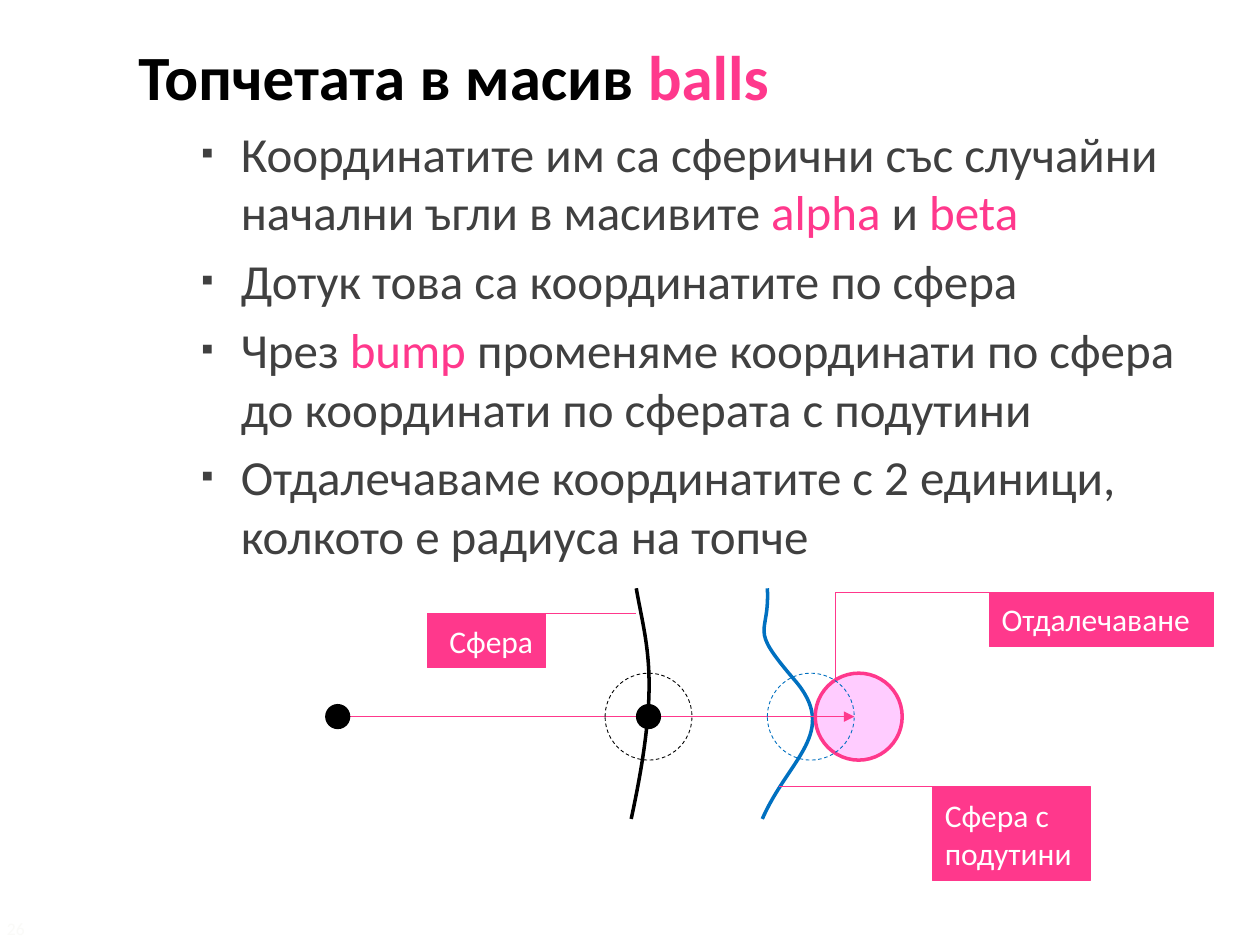
from dataclasses import dataclass
from itertools import pairwise
from typing import Optional

from lxml import etree
from pptx import Presentation
from pptx.dml.color import RGBColor
from pptx.enum import dml, shapes, text
from pptx.oxml import ns
from pptx.util import Pt


@dataclass(frozen=True)
class Theme:
    font: str = "Calibri"
    pink: str = "FF388C"
    pale_pink: str = "FFCCFF"
    blue: str = "0070C0"
    black: str = "000000"
    gray: str = "404040"
    white: str = "FFFFFF"
    faint: str = "FAFAF8"
    title_size: float = 36
    body_size: float = 28
    label_size: float = 18
    number_size: float = 10
    space_ratio: float = 0.2


@dataclass(frozen=True)
class Circle:
    x: float
    radius: float
    fill: Optional[str] = None
    line: Optional[str] = None
    width: float = 0.5
    dashed: bool = False


@dataclass(frozen=True)
class Callout:
    label: str
    left: float
    top: float
    width: float
    height: float
    leader: tuple
    align: text.PP_ALIGN = text.PP_ALIGN.LEFT


@dataclass(frozen=True)
class Curve:
    """A start point followed by control and end points, three per Bezier segment."""
    points: tuple
    color: str


THEME = Theme()
AXIS_Y = 409.5
BALL_RADIUS = 24.85
DOT_RADIUS = 7.2
CENTER_X, SPHERE_X, BUMP_X, BALL_X = 193, 370.6, 463.3, 490.7

# Asterisks mark the highlighted words.
TITLE = "Топчетата в масив *balls*"
BULLETS = (
    "Координатите им са сферични със случайни начални ъгли в масивите *alpha* и *beta*",
    "Дотук това са координатите по сфера",
    "Чрез *bump* променяме координати по сфера до координати по сферата с подутини",
    "Отдалечаваме координатите с 2 единици, колкото е радиуса на топче",
)
CURVES = (
    Curve(((363.6, 336.2), (369.4, 369.4), (378, 388.1), (360.7, 468)), THEME.black),
    Curve(((438.5, 336.2), (439.9, 364.3), (427, 357.1), (453.6, 388.1),
           (480.2, 418.3), (450.7, 433.4), (435.6, 468)), THEME.blue),
)
BALL = Circle(BALL_X, BALL_RADIUS, THEME.pale_pink, THEME.pink, 2)
MARKS = (
    Circle(SPHERE_X, DOT_RADIUS, THEME.black),
    Circle(CENTER_X, DOT_RADIUS, THEME.black),
    Circle(BUMP_X, BALL_RADIUS, line=THEME.blue, dashed=True),
    Circle(SPHERE_X, BALL_RADIUS, line=THEME.black, dashed=True),
)
CALLOUTS = (
    Callout("Сфера", 244.1, 350.6, 67.7, 31, ((244.1, 350.6), (363.6, 350.6)),
            text.PP_ALIGN.RIGHT),
    Callout("Сфера с подутини", 532.8, 449.3, 90, 54, ((622.8, 449.3), (445, 449.3))),
    Callout("Отдалечаване", 565.2, 338.4, 128.2, 31,
            ((655.2, 338.4), (477.4, 338.4), (477.4, 387.4))),
)


def rgb(color: str) -> RGBColor:
    return RGBColor.from_string(color)


def style_paragraph(para, size: float, color: str, bold: bool = False) -> None:
    para.font.name = THEME.font
    para.font.size = Pt(size)
    para.font.bold = bold
    para.font.color.rgb = rgb(color)
    para.space_before = Pt(size * THEME.space_ratio)


def add_marked_text(para, marked: str) -> None:
    for index, part in enumerate(marked.split("*")):
        if part:
            span = para.add_run()
            span.text = part
            if index % 2:
                span.font.color.rgb = rgb(THEME.pink)


def add_bullet(para) -> None:
    props = para._p.get_or_add_pPr()
    props.set("marL", str(Pt(58.5)))
    props.set("indent", str(-Pt(22.5)))
    color = etree.SubElement(props, ns.qn("a:buClr"))
    etree.SubElement(color, ns.qn("a:srgbClr"), val=THEME.gray)
    etree.SubElement(props, ns.qn("a:buSzPct"), val="70000")
    etree.SubElement(props, ns.qn("a:buFont"), typeface=THEME.font)
    etree.SubElement(props, ns.qn("a:buChar"), char="▪")
    # The schema wants the paragraph font after the bullet settings.
    props.append(props.find(ns.qn("a:defRPr")))


def add_body(page) -> None:
    box = page.shapes.add_textbox(Pt(72), Pt(18), Pt(642.2), Pt(516.2))
    frame = box.text_frame
    frame.word_wrap = True
    title = frame.paragraphs[0]
    style_paragraph(title, THEME.title_size, THEME.black, bold=True)
    add_marked_text(title, TITLE)
    for bullet in BULLETS:
        para = frame.add_paragraph()
        style_paragraph(para, THEME.body_size, THEME.gray)
        add_bullet(para)
        add_marked_text(para, bullet)


def add_curve(page, curve: Curve) -> None:
    points = [(Pt(x), Pt(y)) for x, y in curve.points]
    builder = page.shapes.build_freeform(*points[0])
    builder.add_line_segments(points[1:], close=False)
    shape = builder.convert_to_shape()
    shape.shadow.inherit = False
    shape.fill.background()
    shape.line.color.rgb = rgb(curve.color)
    shape.line.width = Pt(2)
    outline = next(shape._element.iter(ns.qn("a:path")))
    steps = outline.findall(ns.qn("a:lnTo"))
    for start in range(0, len(steps), 3):
        bezier = etree.SubElement(outline, ns.qn("a:cubicBezTo"))
        for step in steps[start:start + 3]:
            bezier.append(step[0])
            outline.remove(step)


def add_circle(page, circle: Circle) -> None:
    size = Pt(2 * circle.radius)
    shape = page.shapes.add_shape(
        shapes.MSO_SHAPE.OVAL, Pt(circle.x - circle.radius),
        Pt(AXIS_Y - circle.radius), size, size)
    shape.shadow.inherit = False
    if circle.fill:
        shape.fill.solid()
        shape.fill.fore_color.rgb = rgb(circle.fill)
    else:
        shape.fill.background()
    if circle.line:
        shape.line.color.rgb = rgb(circle.line)
        shape.line.width = Pt(circle.width)
    else:
        shape.line.fill.background()
    if circle.dashed:
        shape.line.dash_style = dml.MSO_LINE.DASH


def add_line(page, start: tuple, end: tuple, width: float, arrow: bool = False) -> None:
    line = page.shapes.add_connector(
        shapes.MSO_CONNECTOR.STRAIGHT, *(Pt(value) for value in start + end))
    line.line.color.rgb = rgb(THEME.pink)
    line.line.width = Pt(width)
    if arrow:
        etree.SubElement(line.line._get_or_add_ln(), ns.qn("a:tailEnd"), type="triangle")
    etree.SubElement(line._element.spPr, ns.qn("a:effectLst"))


def add_callout(page, callout: Callout) -> None:
    box = page.shapes.add_shape(
        shapes.MSO_SHAPE.RECTANGLE, Pt(callout.left), Pt(callout.top),
        Pt(callout.width), Pt(callout.height))
    box.shadow.inherit = False
    box.fill.solid()
    box.fill.fore_color.rgb = rgb(THEME.pink)
    box.line.color.rgb = rgb(THEME.pink)
    box.line.width = Pt(0.25)
    box.text_frame.word_wrap = True
    box.text_frame.vertical_anchor = text.MSO_ANCHOR.MIDDLE
    para = box.text_frame.paragraphs[0]
    para.text = callout.label
    para.alignment = callout.align
    style_paragraph(para, THEME.label_size, THEME.white)
    for start, end in pairwise(callout.leader):
        add_line(page, start, end, 0.25)


def add_page_number(page) -> None:
    box = page.shapes.add_textbox(Pt(0), Pt(521), Pt(40), Pt(18))
    box.text_frame.margin_left = Pt(4)
    para = box.text_frame.paragraphs[0]
    para.text = "26"
    style_paragraph(para, THEME.number_size, THEME.faint)


def main() -> None:
    deck = Presentation()
    deck.slide_width, deck.slide_height = Pt(720), Pt(540)
    page = deck.slides.add_slide(deck.slide_layouts[6])
    add_body(page)
    for curve in CURVES:
        add_curve(page, curve)
    add_circle(page, BALL)
    add_line(page, (CENTER_X - DOT_RADIUS, AXIS_Y), (488.2, AXIS_Y), 0.75, arrow=True)
    for mark in MARKS:
        add_circle(page, mark)
    for callout in CALLOUTS:
        add_callout(page, callout)
    add_page_number(page)
    deck.save("out.pptx")


if __name__ == "__main__":
    main()
